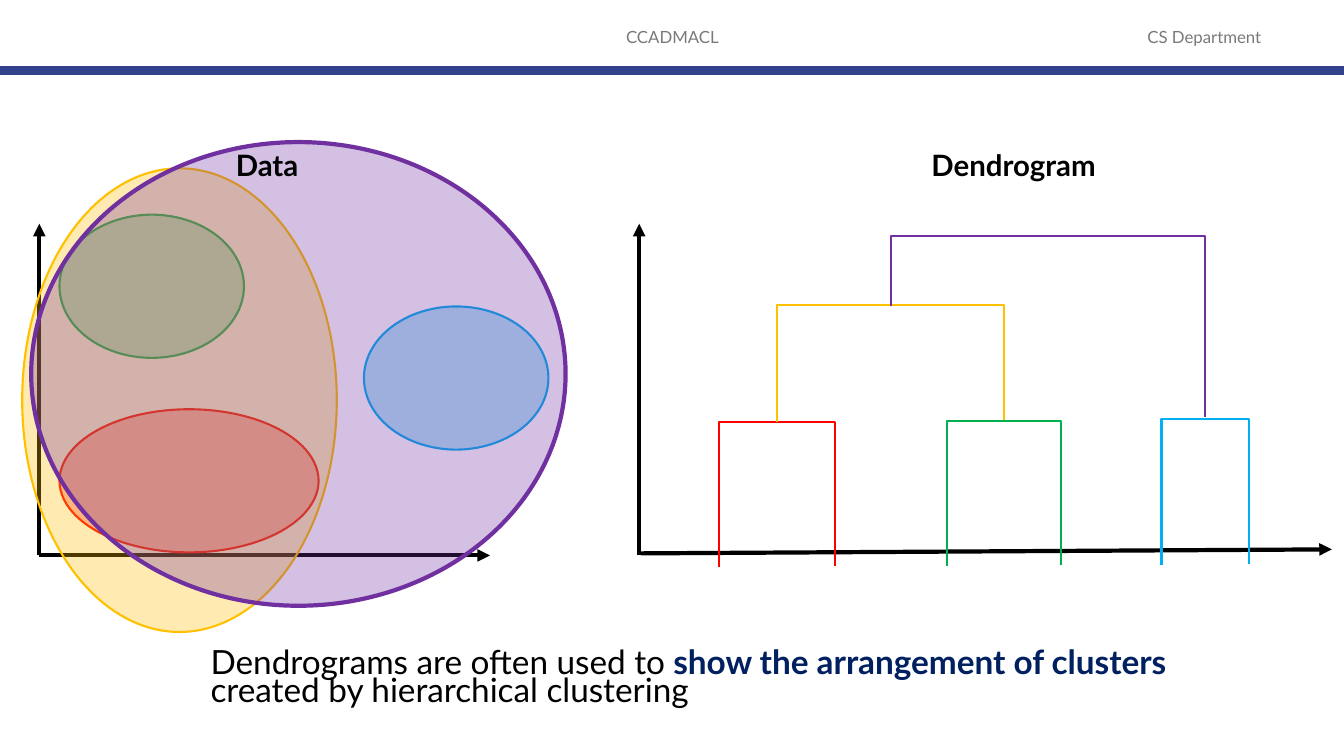
import pptx
import pptx.util
import pptx.dml.color
import pptx.enum.shapes
import pptx.enum.text
import pptx.oxml
import pptx.oxml.ns
from pptx.util import Inches

FONT = "Lato"
COLORS = {
    "black": "000000",
    "gray": "797979",
    "rule": "32418C",
    "navy": "002060",
    "red": "FF0000",
    "green": "00B050",
    "blue": "00B0F0",
    "yellow": "FFC000",
    "purple": "7030A0",
}


def rgb(name):
    return pptx.dml.color.RGBColor.from_string(COLORS[name])


def add_child(parent, tag, **attributes):
    child = pptx.oxml.parse_xml(f"<{tag} {pptx.oxml.ns.nsdecls('a')}/>")
    for key, value in attributes.items():
        child.set(key, value)
    parent.append(child)


def style_line(shape, color, width):
    shape.line.color.rgb = rgb(color)
    shape.line.width = pptx.util.Pt(width)


def add_line(slide, start, end, color, width, arrow=False):
    ends = [Inches(value) for value in (*start, *end)]
    connector = slide.shapes.add_connector(
        pptx.enum.shapes.MSO_CONNECTOR.STRAIGHT, *ends)
    style_line(connector, color, width)
    if arrow:
        add_child(connector.line._get_or_add_ln(), "a:tailEnd", type="triangle")
    add_child(connector._element.spPr, "a:effectLst")


def add_cluster(slide, box, color, width=1.5):
    ellipse = slide.shapes.add_shape(
        pptx.enum.shapes.MSO_SHAPE.OVAL, *[Inches(value) for value in box])
    ellipse.shadow.inherit = False
    ellipse.fill.solid()
    ellipse.fill.fore_color.rgb = rgb(color)
    fill_color = ellipse._element.spPr.find(
        "a:solidFill/a:srgbClr", pptx.oxml.ns._nsmap)
    add_child(fill_color, "a:alpha", val="30000")
    style_line(ellipse, color, width)


def add_bracket(slide, left, right, top, left_foot, right_foot, color):
    builder = slide.shapes.build_freeform(
        Inches(left), Inches(left_foot), scale=1.0)
    corners = [(left, top), (right, top), (right, right_foot)]
    builder.add_line_segments(
        [(Inches(x), Inches(y)) for x, y in corners], close=False)
    bracket = builder.convert_to_shape()
    bracket.shadow.inherit = False
    bracket.fill.background()
    style_line(bracket, color, 1.5)


def add_text(slide, box, runs, size, spacing=1.0, centered=False):
    text_box = slide.shapes.add_textbox(*[Inches(value) for value in box])
    frame = text_box.text_frame
    frame.word_wrap = True
    paragraph = frame.paragraphs[0]
    paragraph.line_spacing = spacing
    if centered:
        frame.vertical_anchor = pptx.enum.text.MSO_ANCHOR.MIDDLE
        paragraph.alignment = pptx.enum.text.PP_ALIGN.CENTER
    paragraph.font.name = FONT
    paragraph.font.size = pptx.util.Pt(size)
    for text, color, bold in runs:
        run = paragraph.add_run()
        run.text = text
        run.font.name = FONT
        run.font.size = pptx.util.Pt(size)
        run.font.bold = bold
        run.font.color.rgb = rgb(color)


def add_header(slide):
    for text, left, width in (("CCADMACL", 4.42, 4.5),
                              ("CS Department", 10.92, 2.05)):
        add_text(slide, (left, 0.17, width, 0.4),
                 [(text, "gray", False)], 12, centered=True)
    add_line(slide, (0, 0.7), (13.33, 0.7), "rule", 6)


def add_axes(slide):
    for start, end in (
        ((0.39, 5.51), (4.86, 5.51)),
        ((0.39, 5.51), (0.39, 2.22)),
        ((6.36, 5.49), (13.21, 5.45)),
        ((6.34, 5.51), (6.34, 2.22)),
    ):
        add_line(slide, start, end, "black", 3, arrow=True)


def add_clusters(slide):
    add_cluster(slide, (0.59, 4.06, 2.57, 1.42), "red")
    add_cluster(slide, (0.59, 2.13, 1.83, 1.42), "green")
    add_cluster(slide, (3.61, 3.04, 1.83, 1.42), "blue")
    add_cluster(slide, (0.22, 1.67, 3.12, 4.6), "yellow")
    add_cluster(slide, (0.31, 1.41, 5.3, 4.6), "purple", 3)


def add_dendrogram(slide):
    for bracket in (
        (7.13, 8.28, 4.19, 5.63, 5.62, "red"),
        (9.39, 10.52, 4.18, 5.62, 5.61, "green"),
        (11.52, 12.39, 4.16, 5.61, 5.6, "blue"),
        (7.71, 9.96, 3.03, 4.19, 4.17, "yellow"),
        (8.84, 11.95, 2.34, 3.04, 4.14, "purple"),
    ):
        add_bracket(slide, *bracket)


def main():
    presentation = pptx.Presentation()
    presentation.slide_width = Inches(13.33)
    presentation.slide_height = Inches(7.5)
    slide = presentation.slides.add_slide(presentation.slide_layouts[6])

    add_header(slide)
    add_axes(slide)
    add_clusters(slide)
    add_dendrogram(slide)
    for text, left, width in (("Data", 2.24, 0.83),
                              ("Dendrogram", 9.14, 1.87)):
        add_text(slide, (left, 1.45, width, 0.46),
                 [(text, "black", True)], 21, 0.9)
    add_text(slide, (1.99, 6.42, 9.73, 0.73), [
        ("Dendrograms are often used to ", "black", False),
        ("show the arrangement of clusters ", "navy", True),
        ("created by hierarchical clustering", "black", False),
    ], 23.8, 0.7)

    presentation.save("out.pptx")


if __name__ == "__main__":
    main()
